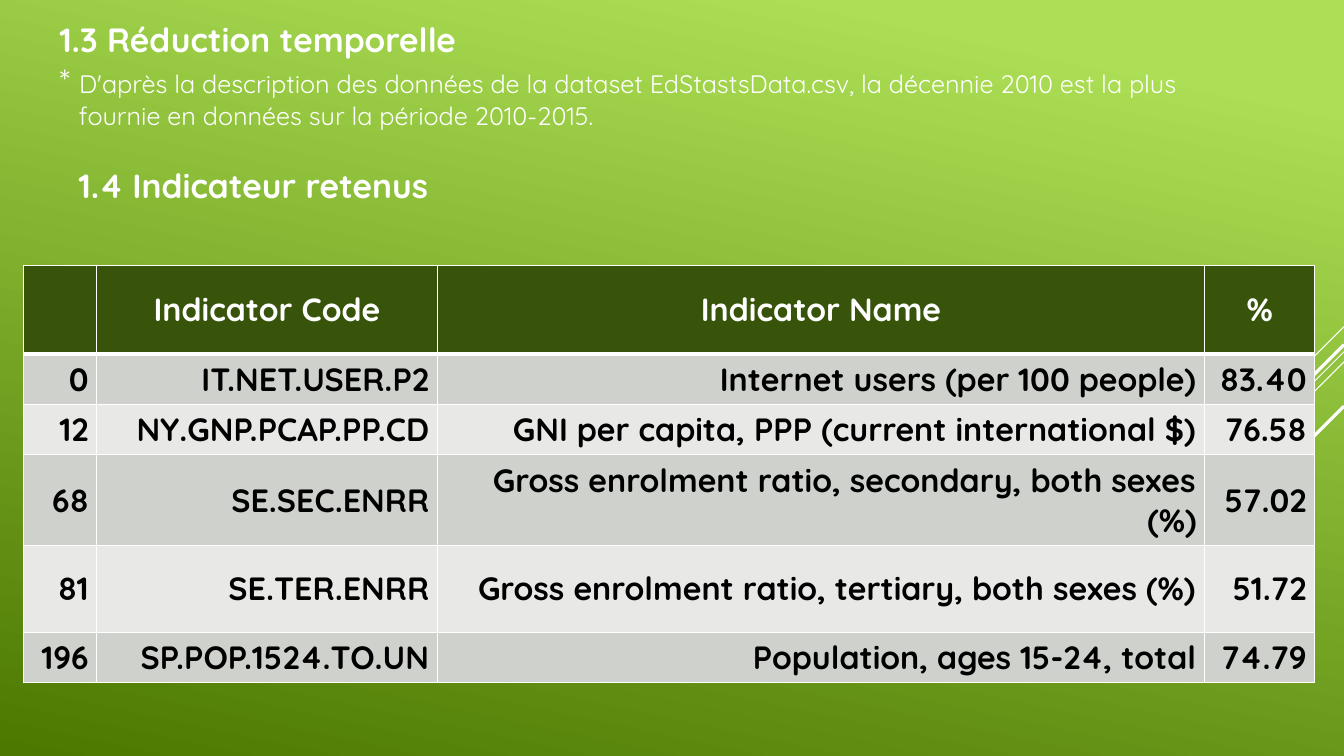
from lxml import etree
from pptx import Presentation
from pptx.dml.color import RGBColor
from pptx.enum import shapes, text
from pptx.oxml.ns import qn
from pptx.util import Inches, Pt

# Content
FONT = "Quicksand"
WHITE, BLACK, HEADER_FILL = "FFFFFF", "000000", "38540A"
BAND_FILLS = ("CED1CC", "E8E9E7")
BACKGROUND = ((0.1, "ACDF55"), (1, "4C7800"))

HEADINGS = ("1.3 Réduction temporelle", "1.4 Indicateur retenus")
NOTE = ("D'après la description des données de la dataset EdStastsData.csv, "
        "la décennie 2010 est la plus",
        "fournie en données sur la période 2010-2015.")
TABLE = [
    ("", "Indicator Code", "Indicator Name", "%"),
    ("0", "IT.NET.USER.P2", "Internet users (per 100 people)", "83.40"),
    ("12", "NY.GNP.PCAP.PP.CD", "GNI per capita, PPP (current international $)", "76.58"),
    ("68", "SE.SEC.ENRR", "Gross enrolment ratio, secondary, both sexes (%)", "57.02"),
    ("81", "SE.TER.ENRR", "Gross enrolment ratio, tertiary, both sexes (%)", "51.72"),
    ("196", "SP.POP.1524.TO.UN", "Population, ages 15-24, total", "74.79"),
]
COL_WIDTHS = (0.73, 3.38, 7.61, 1.09)
ROW_HEIGHTS = (0.88, 0.49, 0.49, 0.88, 0.86, 0.49)
TABLE_LEFT, TABLE_TOP = 0.23, 2.63

# Diagonals running down-left from the right edge: top, run, line width
DIAGONALS = [(3.24, 1, 0.75), (3.49, 3.26, 0.75), (3.59, 2.07, 0.75),
             (3.42, 1.91, 2.25), (4.03, 1.39, 2.25)]
SLIDE_W, SLIDE_H = 13.33, 7.5


def rgb(value):
    return RGBColor.from_string(value)


def add_text(p, content, size=24, color=WHITE, bold=False, align=text.PP_ALIGN.LEFT):
    p.alignment = align
    r = p.add_run()
    r.text = content
    r.font.name, r.font.size, r.font.bold = FONT, Pt(size), bold
    r.font.color.rgb = rgb(color)


def add_border(cell, side, width):
    ln = etree.SubElement(cell._tc.get_or_add_tcPr(), qn("a:ln" + side), w=str(Pt(width)))
    fill = etree.SubElement(ln, qn("a:solidFill"))
    etree.SubElement(fill, qn("a:srgbClr"), val=WHITE)


prs = Presentation()
prs.slide_width, prs.slide_height = Inches(SLIDE_W), Inches(SLIDE_H)
s = prs.slides.add_slide(prs.slide_layouts[5])

# Background gradient
fill = s.background.fill
fill.gradient()
fill.gradient_angle = 258
for stop, (position, color) in zip(fill.gradient_stops, BACKGROUND):
    stop.position, stop.color.rgb = position, rgb(color)

# Diagonal lines
for top, run, width in DIAGONALS:
    line = s.shapes.add_connector(
        shapes.MSO_CONNECTOR.STRAIGHT, Inches(SLIDE_W), Inches(top),
        Inches(SLIDE_W - run), Inches(top + run))
    line.line.color.rgb, line.line.width = rgb(WHITE), Pt(width)
    etree.SubElement(line._element.spPr, qn("a:effectLst"))

# Headings and note
title = s.shapes.title
title.left, title.top = 0, 0
title.width, title.height = Inches(SLIDE_W), Inches(SLIDE_H)
tf = title.text_frame
tf.word_wrap, tf.auto_size = True, text.MSO_AUTO_SIZE.NONE
tf.vertical_anchor = text.MSO_ANCHOR.TOP
tf.margin_left, tf.margin_top = Inches(0.59), Inches(0.19)
add_text(tf.paragraphs[0], HEADINGS[0], bold=True)

p = tf.add_paragraph()
pPr = p._p.get_or_add_pPr()
pPr.set("marL", str(Inches(0.19)))
pPr.set("indent", str(-Inches(0.19)))
add_text(p, "* ")
add_text(p, NOTE[0], size=18)
p.add_line_break()
add_text(p, NOTE[1], size=18)

p = tf.add_paragraph()
p.space_before = Pt(25)
add_text(p, HEADINGS[1], bold=True)

# Indicator table
table = s.shapes.add_table(
    len(TABLE), len(COL_WIDTHS), Inches(TABLE_LEFT), Inches(TABLE_TOP),
    Inches(sum(COL_WIDTHS)), Inches(sum(ROW_HEIGHTS))).table
for column, width in zip(table.columns, COL_WIDTHS):
    column.width = Inches(width)
for i, (row, height, values) in enumerate(zip(table.rows, ROW_HEIGHTS, TABLE)):
    row.height = Inches(height)
    header = i == 0
    for cell, value in zip(row.cells, values):
        for side in "LRTB":
            heavy = (header and side == "B") or (i == 1 and side == "T")
            add_border(cell, side, 3 if heavy else 1)
        cell.fill.solid()
        cell.fill.fore_color.rgb = rgb(HEADER_FILL if header else BAND_FILLS[(i - 1) % 2])
        cell.vertical_anchor = text.MSO_ANCHOR.MIDDLE
        cell.margin_left = cell.margin_right = Inches(0.08)
        cell.margin_top = cell.margin_bottom = Inches(0.05)
        if value:
            add_text(cell.text_frame.paragraphs[0], value, size=23, bold=True,
                     color=WHITE if header else BLACK,
                     align=text.PP_ALIGN.CENTER if header else text.PP_ALIGN.RIGHT)

prs.save("out.pptx")
